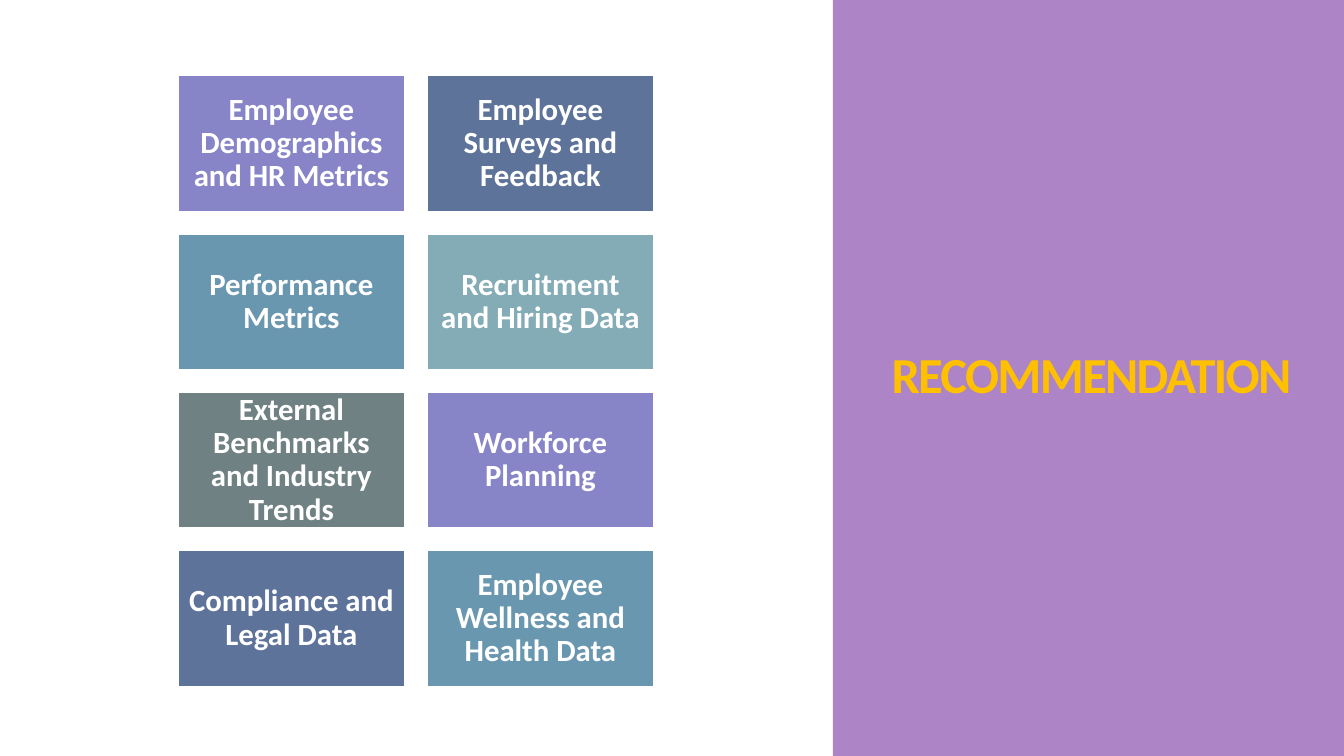
from dataclasses import dataclass
from typing import Any

from pptx import Presentation
from pptx.dml.color import RGBColor
from pptx.enum.shapes import MSO_SHAPE
from pptx.enum.text import MSO_ANCHOR, PP_ALIGN
from pptx.shapes.autoshape import Shape
from pptx.slide import Slide
from pptx.util import Inches, Pt


@dataclass(frozen=True)
class Theme:
    font: str = "Calibri"
    white: str = "FFFFFF"
    gold: str = "FFC000"
    purple: str = "AD84C6"
    violet: str = "8784C7"
    navy: str = "5D739A"
    blue: str = "6997AF"
    teal: str = "84ACB6"
    slate: str = "6F8183"
    title_size: int = 36
    tile_size: int = 22
    title_tracking: int = -120


@dataclass(frozen=True)
class Box:
    left: float
    top: float
    width: float
    height: float

    def lengths(self) -> tuple[Inches, ...]:
        return tuple(Inches(value) for value in (self.left, self.top, self.width, self.height))


@dataclass(frozen=True)
class Tile:
    text: str
    color: str


THEME = Theme()
TILES = (
    Tile("Employee Demographics and HR Metrics", THEME.violet),
    Tile("Employee Surveys and Feedback", THEME.navy),
    Tile("Performance Metrics", THEME.blue),
    Tile("Recruitment and Hiring Data", THEME.teal),
    Tile("External Benchmarks and Industry Trends", THEME.slate),
    Tile("Workforce Planning", THEME.violet),
    Tile("Compliance and Legal Data", THEME.navy),
    Tile("Employee Wellness and Health Data", THEME.blue),
)
COLUMNS = 2
FIRST_TILE = Box(1.77, 0.75, 2.24, 1.35)
COLUMN_STEP, ROW_STEP = 2.47, 1.57
TILE_INSET = 0.09
SIDE_PANEL = Box(8.26, 0, 5.07, 7.5)
TITLE_BOX = Box(8.52, 0.7, 4.61, 6.11)


def apply_format(target: Any, values: dict[str, Any]) -> None:
    for name, value in values.items():
        setattr(target, name, value)


def add_rectangle(slide: Slide, box: Box, color: str) -> Shape:
    shape = slide.shapes.add_shape(MSO_SHAPE.RECTANGLE, *box.lengths())
    shape.shadow.inherit = False
    shape.fill.solid()
    shape.fill.fore_color.rgb = RGBColor.from_string(color)
    shape.line.fill.background()
    return shape


def write_text(shape: Shape, text: str, size: int, color: str, line_spacing: float) -> Any:
    apply_format(shape.text_frame, {"word_wrap": True, "vertical_anchor": MSO_ANCHOR.MIDDLE})
    paragraph = shape.text_frame.paragraphs[0]
    apply_format(paragraph, {"alignment": PP_ALIGN.CENTER, "line_spacing": line_spacing})
    run = paragraph.add_run()
    run.text = text
    apply_format(run.font, {"name": THEME.font, "size": Pt(size), "bold": True})
    run.font.color.rgb = RGBColor.from_string(color)
    return run


def add_tile(slide: Slide, tile: Tile, index: int) -> None:
    row, column = divmod(index, COLUMNS)
    box = Box(
        FIRST_TILE.left + column * COLUMN_STEP,
        FIRST_TILE.top + row * ROW_STEP,
        FIRST_TILE.width,
        FIRST_TILE.height,
    )
    shape = add_rectangle(slide, box, tile.color)
    shape.line.color.rgb = RGBColor.from_string(THEME.white)
    shape.line.width = Pt(1)
    sides = ("left", "top", "right", "bottom")
    apply_format(shape.text_frame, {f"margin_{side}": Inches(TILE_INSET) for side in sides})
    write_text(shape, tile.text, THEME.tile_size, THEME.white, 0.9)


def add_title(slide: Slide) -> None:
    title = slide.shapes.add_textbox(*TITLE_BOX.lengths())
    run = write_text(title, "RECOMMENDATION", THEME.title_size, THEME.gold, 0.85)
    run.font._element.set("spc", str(THEME.title_tracking))


def main() -> None:
    presentation = Presentation()
    apply_format(presentation, {"slide_width": Inches(13.33), "slide_height": Inches(7.5)})
    slide = presentation.slides.add_slide(presentation.slide_layouts[6])
    add_rectangle(slide, SIDE_PANEL, THEME.purple)
    add_title(slide)
    for index, tile in enumerate(TILES):
        add_tile(slide, tile, index)
    presentation.save("out.pptx")


if __name__ == "__main__":
    main()
